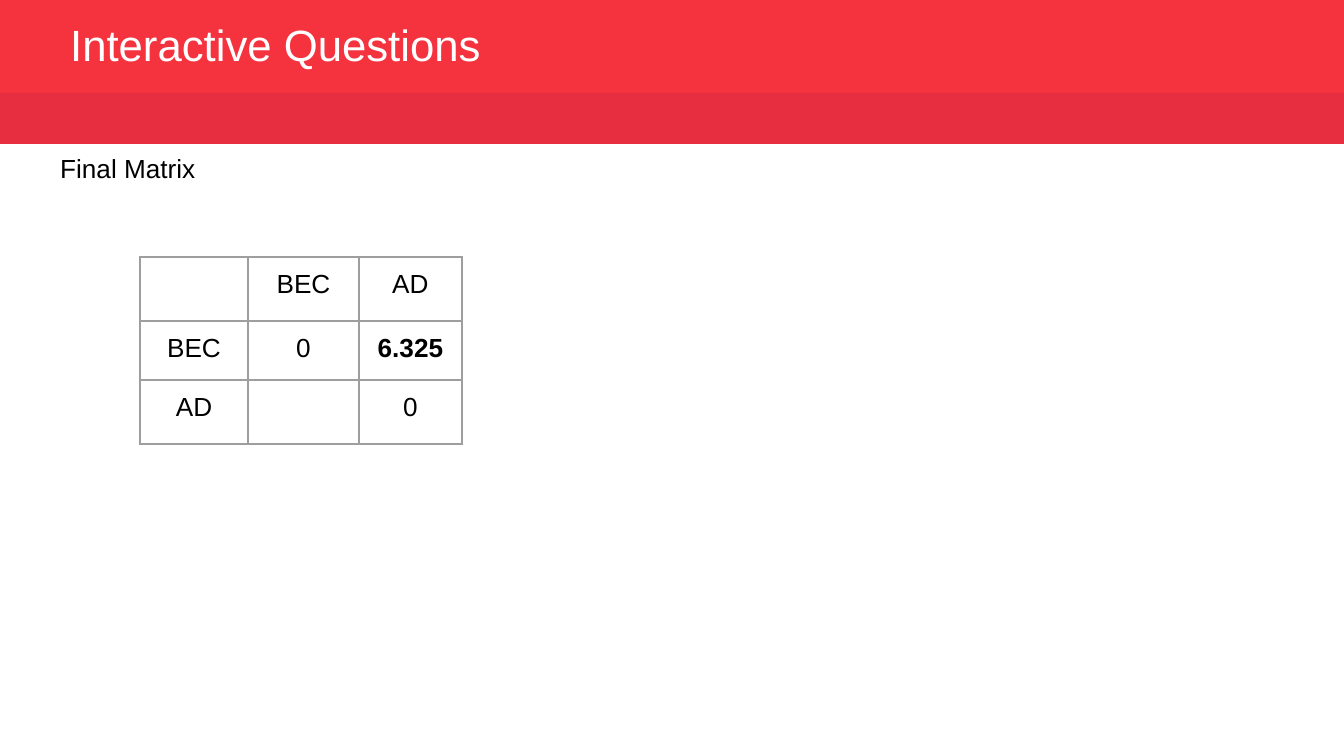
import pptx
import pptx.util
import pptx.dml.color
import pptx.enum.shapes
import pptx.enum.text
import pptx.oxml
import pptx.oxml.ns

# Content
TITLE = "Interactive Questions"
SUBTITLE = "Final Matrix"
MATRIX = [
    ["", "BEC", "AD"],
    ["BEC", "0", "6.325"],
    ["AD", "", "0"],
]
HIGHLIGHT = "6.325"

# Theme and geometry in px
THEME = {
    "font": "Arial",
    "title_size": 23.4,
    "body_size": 14,
    "banner": "F5333F",
    "strip": "E72D40",
    "title": "FFFFFF",
    "text": "000000",
    "border": "9E9E9E",
}
SLIDE_SIZE = (1344, 756)
BANNER = (0, 0, 1344, 94)
STRIP = (0, 93, 1344, 51)
TITLE_BOX = (57, 19, 630, 59)
SUBTITLE_BOX = (47, 146, 1230, 609)
MATRIX_ORIGIN = (140, 257)
COLUMN_WIDTHS = [108, 111, 103]
ROW_HEIGHTS = [64, 59, 64]
CELL_MARGIN = 13
EMU_PER_PX = 914400 / 134.4


def px(length):
    return pptx.util.Emu(round(length * EMU_PER_PX))


def rgb(name):
    return pptx.dml.color.RGBColor.from_string(THEME[name])


def style(paragraph, size, color, bold=False):
    font = paragraph.font
    font.name = THEME["font"]
    font.size = pptx.util.Pt(THEME[size])
    font.color.rgb = rgb(color)
    font.bold = bold


def add_band(slide, box, color):
    band = slide.shapes.add_shape(
        pptx.enum.shapes.MSO_SHAPE.RECTANGLE, *map(px, box))
    band.shadow.inherit = False
    band.fill.solid()
    band.fill.fore_color.rgb = rgb(color)
    band.line.fill.background()


def add_text(slide, box, text, size, color, anchor):
    frame = slide.shapes.add_textbox(*map(px, box)).text_frame
    frame.word_wrap = True
    frame.vertical_anchor = anchor
    paragraph = frame.paragraphs[0]
    paragraph.text = text
    style(paragraph, size, color)
    return paragraph


def add_borders(cell):
    properties = cell._tc.get_or_add_tcPr()
    for position, side in enumerate(("lnL", "lnR", "lnT", "lnB")):
        border = pptx.oxml.parse_xml(
            f'<a:{side} {pptx.oxml.ns.nsdecls("a")} w="{pptx.util.Pt(0.75)}">'
            f'<a:solidFill><a:srgbClr val="{THEME["border"]}"/></a:solidFill>'
            f'</a:{side}>')
        properties.insert(position, border)


def add_matrix(slide):
    size = (sum(COLUMN_WIDTHS), sum(ROW_HEIGHTS))
    matrix = slide.shapes.add_table(
        len(MATRIX), len(MATRIX[0]), *map(px, MATRIX_ORIGIN + size)).table
    matrix.first_row = matrix.horz_banding = False
    for column, width in zip(matrix.columns, COLUMN_WIDTHS):
        column.width = px(width)
    for row, height, values in zip(matrix.rows, ROW_HEIGHTS, MATRIX):
        row.height = px(height)
        for cell, value in zip(row.cells, values):
            cell.fill.background()
            cell.margin_left = cell.margin_right = px(CELL_MARGIN)
            cell.margin_top = cell.margin_bottom = px(CELL_MARGIN)
            paragraph = cell.text_frame.paragraphs[0]
            paragraph.text = value
            paragraph.alignment = pptx.enum.text.PP_ALIGN.CENTER
            style(paragraph, "body_size", "text", value == HIGHLIGHT)
            add_borders(cell)


def main():
    presentation = pptx.Presentation()
    presentation.slide_width, presentation.slide_height = map(px, SLIDE_SIZE)
    slide = presentation.slides.add_slide(presentation.slide_layouts[6])

    # Header
    add_band(slide, BANNER, "banner")
    heading = add_text(slide, TITLE_BOX, TITLE, "title_size", "title",
                       pptx.enum.text.MSO_ANCHOR.MIDDLE)
    heading.line_spacing = 0.8
    add_band(slide, STRIP, "strip")

    # Body
    add_text(slide, SUBTITLE_BOX, SUBTITLE, "body_size", "text",
             pptx.enum.text.MSO_ANCHOR.TOP)
    add_matrix(slide)

    presentation.save("out.pptx")


if __name__ == "__main__":
    main()
